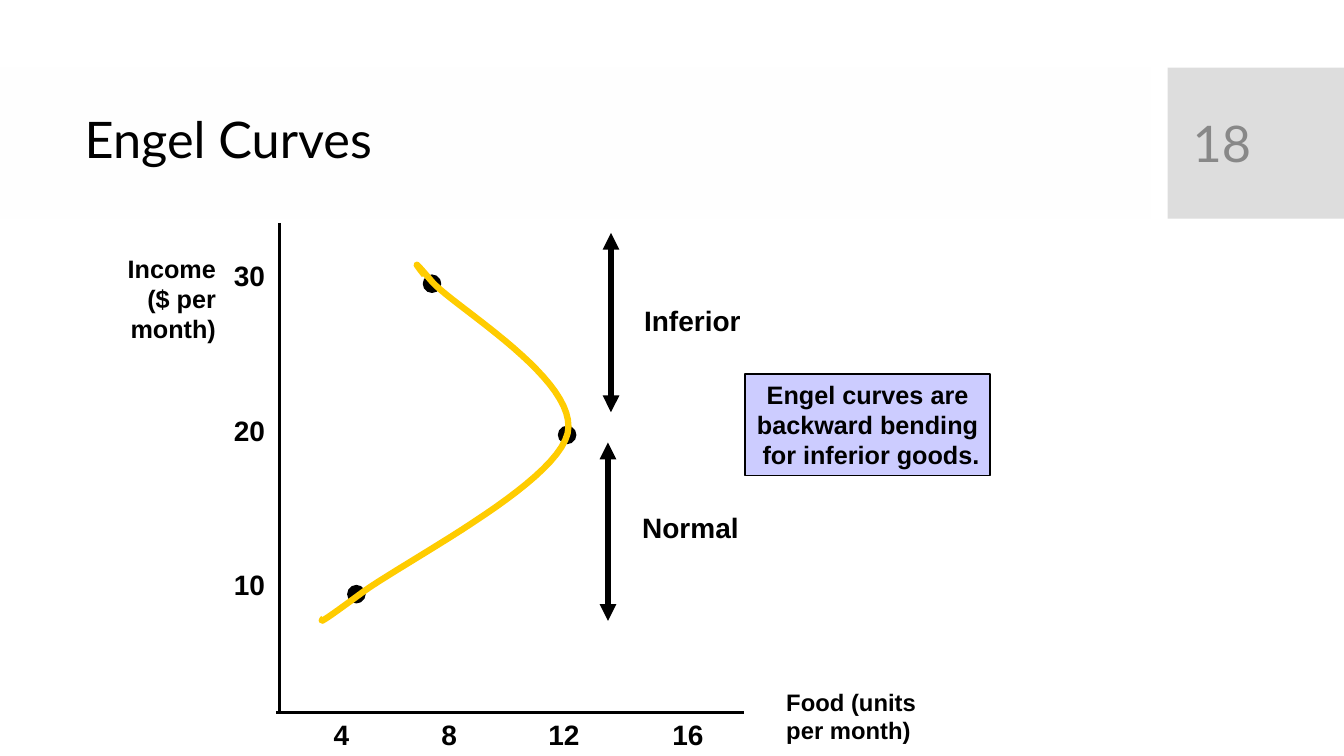
from dataclasses import dataclass

from lxml import etree
from pptx import Presentation
from pptx import util as u
from pptx.dml.color import RGBColor
from pptx.enum import shapes, text
from pptx.oxml.ns import qn

PX = 9144
BLACK = RGBColor(0, 0, 0)
BAND = RGBColor(0xFE, 0xFE, 0xFE)
NUMBER_BAND = RGBColor(0xDD, 0xDD, 0xDD)
NUMBER_GREY = RGBColor(0x88, 0x88, 0x88)
LILAC = RGBColor(0xCC, 0xCC, 0xFF)
YELLOW = RGBColor(0xFF, 0xCC, 0x00)
LEFT, CENTER, RIGHT = text.PP_ALIGN.LEFT, text.PP_ALIGN.CENTER, text.PP_ALIGN.RIGHT
RECT, OVAL = shapes.MSO_SHAPE.RECTANGLE, shapes.MSO_SHAPE.OVAL


@dataclass
class Box:
    x: int
    y: int
    w: int
    h: int

    def emu(self) -> list[int]:
        return [n * PX for n in (self.x, self.y, self.w, self.h)]


@dataclass
class Label:
    box: Box
    lines: list[str]
    size: int = 20
    align: text.PP_ALIGN = LEFT


@dataclass
class Line:
    x1: int
    y1: int
    x2: int
    y2: int
    width: int
    arrows: bool = False


LINES = [
    Line(606, 231, 606, 409, 4, True),
    Line(603, 439, 603, 616, 4, True),
    Line(277, 221, 277, 707, 2),
    Line(274, 707, 738, 707, 2),
]
LABELS = [
    Label(Box(629, 296, 116, 43), ["Inferior"]),
    Label(Box(627, 502, 116, 43), ["Normal"]),
    Label(Box(770, 677, 150, 67), ["Food (units", "per month)"], 17),
    Label(Box(116, 246, 108, 101), ["Income", "($ per", "month)"], 18, RIGHT),
]
LABELS += [Label(Box(222, 252 + 153 * i, 51, 43), [str(30 - 10 * i)]) for i in range(3)]
LABELS += [
    Label(Box(x, 707, 36 if units < 10 else 51, 43), [str(units)])
    for x, units in ((321, 4), (428, 8), (534, 12), (657, 16))
]
CALLOUT = Label(
    Box(739, 371, 243, 101),
    ["Engel curves are", "backward bending", " for inferior goods."], 18, CENTER,
)
POINTS = [(420, 273), (345, 581), (554, 423)]
CURVE_START = (321, 613)
CURVE = [
    ((318, 617), (314, 621), (355, 591)),
    ((395, 560), (550, 482), (563, 430)),
    ((575, 378), (453, 306), (429, 280)),
    ((406, 253), (413, 263), (421, 273)),
]
STEPS = 24


def add_run(p, words: str, size: int, font: str, color: RGBColor, bold: bool = False) -> None:
    r = p.add_run()
    r.text = words
    r.font.size = u.Pt(size)
    r.font.name = font
    r.font.bold = bold
    r.font.color.rgb = color


def write(tf, label: Label) -> None:
    tf.word_wrap = False
    tf.vertical_anchor = text.MSO_ANCHOR.TOP
    for i, words in enumerate(label.lines):
        p = tf.add_paragraph() if i else tf.paragraphs[0]
        p.alignment = label.align
        add_run(p, words, label.size, "Arial", BLACK, True)


def add_block(s, kind, box: Box, fill: RGBColor, outlined: bool = False):
    sp = s.shapes.add_shape(kind, *box.emu())
    sp.shadow.inherit = False
    sp.fill.solid()
    sp.fill.fore_color.rgb = fill
    if outlined:
        sp.line.color.rgb = BLACK
        sp.line.width = u.Pt(1)
    else:
        sp.line.fill.background()
    return sp


def add_line(s, line: Line) -> None:
    ends = [n * PX for n in (line.x1, line.y1, line.x2, line.y2)]
    sp = s.shapes.add_connector(shapes.MSO_CONNECTOR.STRAIGHT, *ends)
    sp.line.color.rgb = BLACK
    sp.line.width = u.Pt(line.width)
    if line.arrows:
        ln = sp.line._get_or_add_ln()
        for tag in ("a:headEnd", "a:tailEnd"):
            etree.SubElement(ln, qn(tag), type="triangle")
    etree.SubElement(sp.element.spPr, qn("a:effectLst"))


def bezier(t: float, *controls: tuple[int, int]) -> tuple[int, int]:
    weights = ((1 - t) ** 3, 3 * t * (1 - t) ** 2, 3 * t * t * (1 - t), t ** 3)
    x, y = (sum(k * n for k, n in zip(weights, axis)) for axis in zip(*controls))
    return round(x * PX), round(y * PX)


def add_curve(s) -> None:
    start, dots = CURVE_START, []
    for c1, c2, end in CURVE:
        dots += [bezier(i / STEPS, start, c1, c2, end) for i in range(1, STEPS + 1)]
        start = end
    builder = s.shapes.build_freeform(CURVE_START[0] * PX, CURVE_START[1] * PX)
    builder.add_line_segments(dots, close=False)
    sp = builder.convert_to_shape()
    sp.shadow.inherit = False
    sp.fill.background()
    sp.line.color.rgb = YELLOW
    sp.line.width = u.Pt(4.5)


def add_title(s) -> None:
    sp = s.shapes.title
    sp.element.getparent().append(sp.element)
    sp.left, sp.top, sp.width, sp.height = Box(74, 82, 1051, 118).emu()
    tf = sp.text_frame
    tf.vertical_anchor = text.MSO_ANCHOR.MIDDLE
    p = tf.paragraphs[0]
    p.alignment = LEFT
    p.line_spacing = 0.9
    add_run(p, "Engel Curves", 36, "Lato", BLACK)


def add_number(s) -> None:
    tf = s.shapes.add_textbox(*Box(1173, 82, 126, 119).emu()).text_frame
    tf.word_wrap = True
    tf.vertical_anchor = text.MSO_ANCHOR.MIDDLE
    add_run(tf.paragraphs[0], "18", 36, "Lato", NUMBER_GREY)


def main() -> None:
    prs = Presentation()
    prs.slide_width, prs.slide_height = 1333 * PX, 750 * PX
    s = prs.slides.add_slide(prs.slide_layouts[5])
    add_block(s, RECT, Box(0, 67, 1141, 150), BAND)
    add_block(s, RECT, Box(1158, 67, 175, 150), NUMBER_BAND)
    add_title(s)
    write(add_block(s, RECT, CALLOUT.box, LILAC, True).text_frame, CALLOUT)
    for line in LINES:
        add_line(s, line)
    for label in LABELS:
        write(s.shapes.add_textbox(*label.box.emu()).text_frame, label)
    for x, y in POINTS:
        add_block(s, OVAL, Box(x, y, 17, 17), BLACK, True)
    add_curve(s)
    add_number(s)
    prs.save("out.pptx")


if __name__ == "__main__":
    main()
